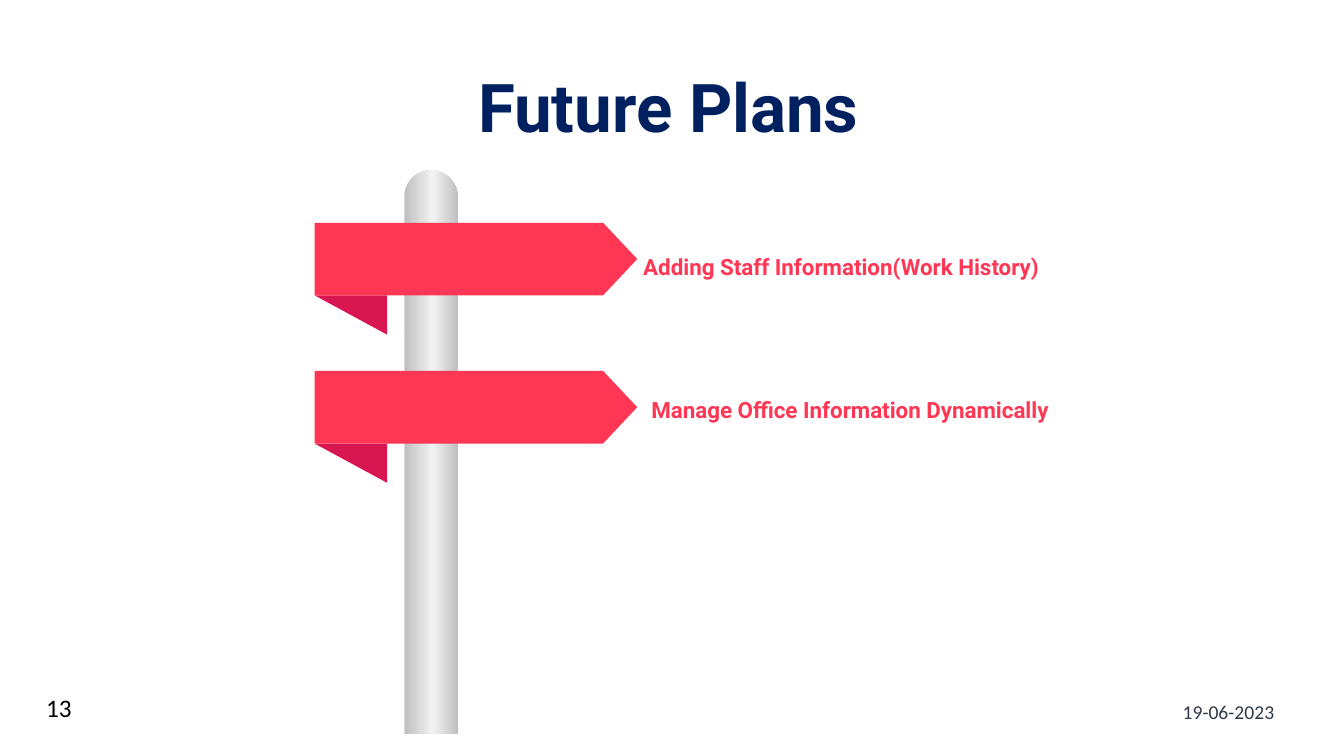
from copy import deepcopy

from pptx import Presentation
from pptx.dml.color import RGBColor
from pptx.enum.shapes import MSO_SHAPE
from pptx.enum.text import MSO_ANCHOR, MSO_AUTO_SIZE, PP_ALIGN
from pptx.util import Inches, Pt

POLE_SHAPE = MSO_SHAPE.ROUND_2_SAME_RECTANGLE
SIGN_SHAPE = MSO_SHAPE.PENTAGON
FOLD_SHAPE = MSO_SHAPE.RIGHT_TRIANGLE
TOP, MIDDLE = MSO_ANCHOR.TOP, MSO_ANCHOR.MIDDLE
LEFT, CENTER = PP_ALIGN.LEFT, PP_ALIGN.CENTER
NO_AUTOFIT = MSO_AUTO_SIZE.NONE

NAVY, RED, CRIMSON = "002060", "FF3654", "D81652"
SILVER, PALE = "BFBFBF", "F2F2F2"
BLACK, SLATE = "000000", "2F3A46"

SIGN_BOX = (3.12, 2.21, 3.2, 0.72)
SIGN_PITCH = 1.47
# Text, then its label's offset from the arrow tip and from the sign's top
SIGNS = [
    ("Adding Staff Information(Work History)", 0.06, 0.24),
    ("Manage Office Information Dynamically", 0.14, 0.19),
]


def color(value):
    return RGBColor.from_string(value)


def inches(box):
    return [Inches(length) for length in box]


def write(shape, text, *, size, fill, font="Roboto", bold=False, align=LEFT,
          anchor=MIDDLE, margins=(0, 0), spacing=None):
    """Fill a shape with one formatted line; margins are horizontal, vertical."""
    frame = shape.text_frame
    frame.word_wrap = True
    frame.auto_size = NO_AUTOFIT
    frame.vertical_anchor = anchor
    frame.margin_left = frame.margin_right = Inches(margins[0])
    frame.margin_top = frame.margin_bottom = Inches(margins[1])
    paragraph = frame.paragraphs[0]
    paragraph.alignment = align
    paragraph.line_spacing = spacing
    run = paragraph.add_run()
    run.text = text
    run.font.name = font
    run.font.size = Pt(size)
    run.font.bold = bold
    run.font.color.rgb = color(fill)


def add_text(slide, box, text, **text_format):
    write(slide.shapes.add_textbox(*inches(box)), text, **text_format)


def add_plain_shape(slide, kind, box, fill=None):
    shape = slide.shapes.add_shape(kind, *inches(box))
    shape.shadow.inherit = False
    shape.line.fill.background()
    if fill:
        shape.fill.solid()
        shape.fill.fore_color.rgb = color(fill)
    return shape


def add_title(slide, box, text):
    title = slide.shapes.title
    title.left, title.top, title.width, title.height = inches(box)
    write(title, text, size=48, fill=NAVY, bold=True, align=CENTER, spacing=0.9)


def add_pole(slide, box):
    """Round-topped post, shaded from silver edges to a pale middle."""
    pole = add_plain_shape(slide, POLE_SHAPE, box)
    pole.adjustments[0] = 0.5
    pole.fill.gradient()
    pole.fill.gradient_angle = 0
    stop_list = pole._element.spPr.find(".//{*}gsLst")
    stop_list.insert(1, deepcopy(stop_list[0]))
    shades = [(0, SILVER), (0.53, PALE), (1, SILVER)]
    for stop, (position, shade) in zip(pole.fill.gradient_stops, shades):
        stop.position = position
        stop.color.rgb = color(shade)


def add_sign(slide, box, text, label_gap, label_drop):
    """Arrow sign with a folded tail below it and a label beside its tip."""
    left, top, width, height = box
    fold = add_plain_shape(slide, FOLD_SHAPE, (left, top + height, 0.72, 0.39), CRIMSON)
    fold.rotation = 180
    arrow = add_plain_shape(slide, SIGN_SHAPE, box, RED)
    arrow.adjustments[0] = 0.47
    label_box = (left + width + label_gap, top + label_drop, 5.34, 0.42)
    add_text(slide, label_box, text, size=16, fill=RED, bold=True, spacing=0.9)


def add_footer(slide, number_box, date_box):
    add_text(slide, number_box, "13", size=18, fill=BLACK, font="Calibri",
             anchor=TOP, margins=(0.1, 0.05))
    add_text(slide, date_box, "19-06-2023", size=14, fill=SLATE, font="Calibri",
             align=CENTER, margins=(0.1, 0.05))


def main():
    presentation = Presentation()
    presentation.slide_width = Inches(13.33)
    presentation.slide_height = Inches(7.5)
    slide = presentation.slides.add_slide(presentation.slide_layouts[5])

    add_title(slide, (0.53, 0.74, 12.2, 0.72), "Future Plans")
    add_pole(slide, (4.01, 1.69, 0.53, 5.59))
    left, top, width, height = SIGN_BOX
    for index, sign in enumerate(SIGNS):
        add_sign(slide, (left, top + index * SIGN_PITCH, width, height), *sign)
    add_footer(slide, (0.36, 6.82, 0.48, 0.43), (11.4, 6.85, 1.57, 0.43))

    presentation.save("out.pptx")


if __name__ == "__main__":
    main()
